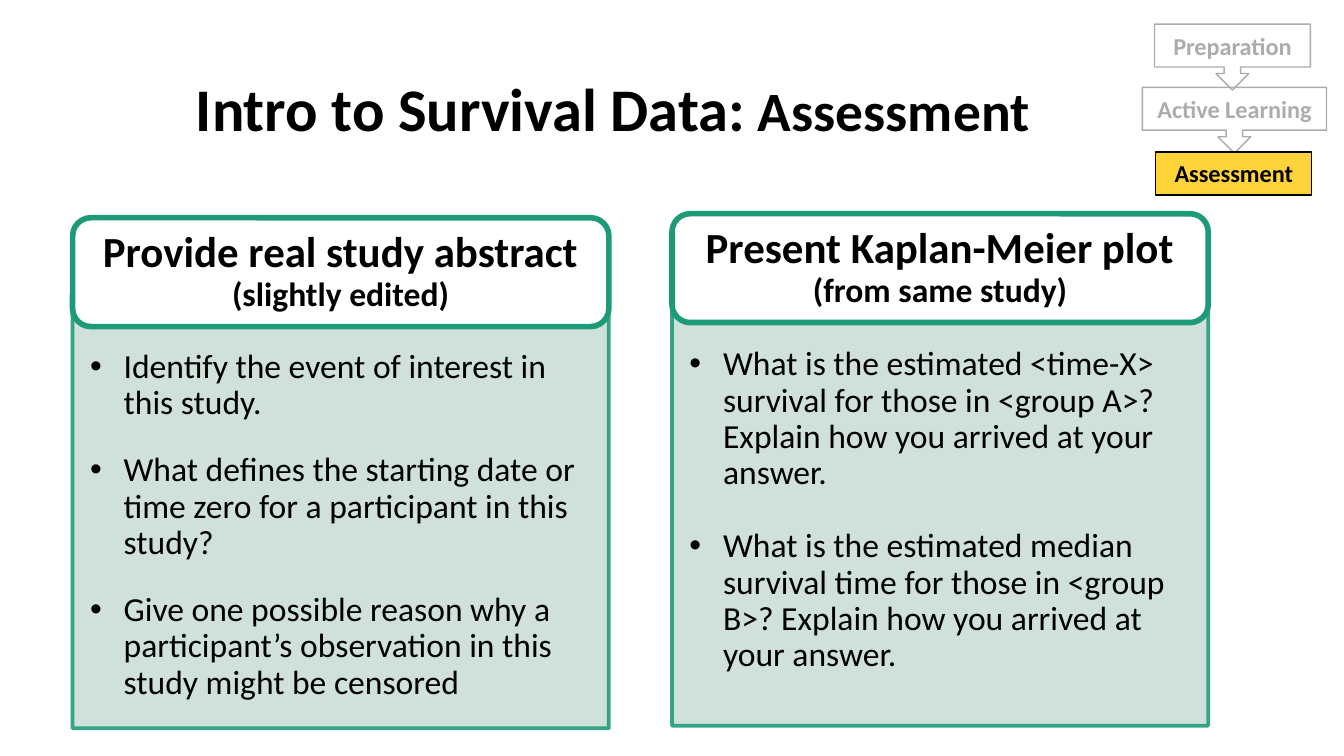
import pptx
import pptx.util
import pptx.dml.color
import pptx.enum.shapes
import pptx.enum.text
import pptx.oxml.ns
from lxml import etree

Inches = pptx.util.Inches
Pt = pptx.util.Pt
Kind = pptx.enum.shapes.MSO_SHAPE
Align = pptx.enum.text.PP_ALIGN
Anchor = pptx.enum.text.MSO_ANCHOR
qn = pptx.oxml.ns.qn


def tint(target, code):
    target.rgb = pptx.dml.color.RGBColor.from_string(code)


def shape(kind, box, fill, line, width):
    item = slide.shapes.add_shape(kind, *map(Inches, box))
    item.shadow.inherit = False
    if fill:
        item.fill.solid()
        tint(item.fill.fore_color, fill)
    else:
        item.fill.background()
    item.line.width = Pt(width)
    tint(item.line.color, line)
    return item


deck = pptx.Presentation()
deck.slide_width = Inches(10)
deck.slide_height = Inches(10 * 9 / 16)
slide = deck.slides.add_slide(deck.slide_layouts[6])

title = slide.shapes.add_textbox(*map(Inches, (1.36, 0.49, 8.3, 0.63)))
frame = title.text_frame
frame.word_wrap = True
frame.margin_top = frame.margin_bottom = Inches(0.1)
para = frame.paragraphs[0]
para.line_spacing = 0.9
para.font.name = "Calibri"
para.font.bold = True
tint(para.font.color, "000000")
for text, size in (("Intro to Survival Data:", 32.4), (" Assessment", 29.7)):
    run = para.add_run()
    run.text = text
    run.font.size = Pt(size)

steps = [
    ("Preparation", Kind.DOWN_ARROW_CALLOUT, (8.59, 0.18, 1.16, 0.49), None, "AEABAB", "AEABAB"),
    ("Active Learning", Kind.DOWN_ARROW_CALLOUT, (8.5, 0.65, 1.37, 0.49), None, "AEABAB", "AEABAB"),
    ("Assessment", Kind.RECTANGLE, (8.6, 1.13, 1.16, 0.32), "FFD33A", "000000", "000000"),
]
for text, kind, box, fill, line, ink in steps:
    step = shape(kind, box, fill, line, 0.75)
    if kind == Kind.DOWN_ARROW_CALLOUT:
        for spot, value in enumerate((0.25, 0.25, 0.25, 0.65)):
            step.adjustments[spot] = value
    frame = step.text_frame
    frame.word_wrap = False
    frame.vertical_anchor = Anchor.TOP
    para = frame.paragraphs[0]
    para.text = text
    para.alignment = Align.CENTER
    para.font.name = "Calibri"
    para.font.size = Pt(13)
    para.font.bold = True
    tint(para.font.color, ink)

cards = [
    (0.54, 1.62, 2.32, "Provide real study abstract ", "(slightly edited)", 16.5, [
        "Identify the event of interest in this study.",
        "What defines the starting date or time zero for a participant in this study?",
        "Give one possible reason why a participant’s observation in this study might be censored",
    ]),
    (5, 1.59, 2.3, "Present Kaplan-Meier plot ", "(from same study)", 19.8, [
        "What is the estimated <time-X> survival for those in <group A>? Explain how you arrived at your answer.",
        "What is the estimated median survival time for those in <group B>? Explain how you arrived at your answer.",
    ]),
]
wide = 3.99
for left, top, base, head, note, gap, points in cards:
    panel = shape(Kind.RECTANGLE, (left, base, wide, 3.1), "C9DDD5", "1D9A78", 2)
    for node in panel._element.spPr.iter(qn("a:srgbClr")):
        etree.SubElement(node, qn("a:alpha")).set("val", "88000")

    label = shape(Kind.ROUNDED_RECTANGLE, (left, top, wide, 0.81), "FFFFFF", "1D9A78", 3)
    label.adjustments[0] = 0.167
    frame = label.text_frame
    frame.word_wrap = True
    frame.vertical_anchor = Anchor.MIDDLE
    frame.margin_left = frame.margin_right = Inches(0.18)
    frame.margin_top = frame.margin_bottom = Inches(0.1)
    para = frame.paragraphs[0]
    para.alignment = Align.CENTER
    para.line_spacing = 0.9
    para.font.name = "Calibri"
    para.font.bold = True
    tint(para.font.color, "000000")
    for text, size in ((head, 23), (note, 18)):
        run = para.add_run()
        run.text = text
        run.font.size = Pt(size)

    body = slide.shapes.add_textbox(*map(Inches, (left, base + 0.15, wide, 2.6)))
    frame = body.text_frame
    frame.word_wrap = True
    frame.margin_left = frame.margin_top = Inches(0.13)
    frame.margin_right = Inches(0.18)
    frame.margin_bottom = Inches(0.2)
    for spot, text in enumerate(points):
        para = frame.add_paragraph() if spot else frame.paragraphs[0]
        para.text = text
        para.line_spacing = 0.9
        if spot:
            para.space_before = Pt(gap)
        props = para._p.get_or_add_pPr()
        props.set("marL", str(Inches(0.25)))
        props.set("indent", str(Inches(-0.25)))
        etree.SubElement(props, qn("a:buFont")).set("typeface", "Arial")
        etree.SubElement(props, qn("a:buChar")).set("char", "•")
        para.font.name = "Calibri"
        para.font.size = Pt(18)
        tint(para.font.color, "000000")

deck.save("out.pptx")
